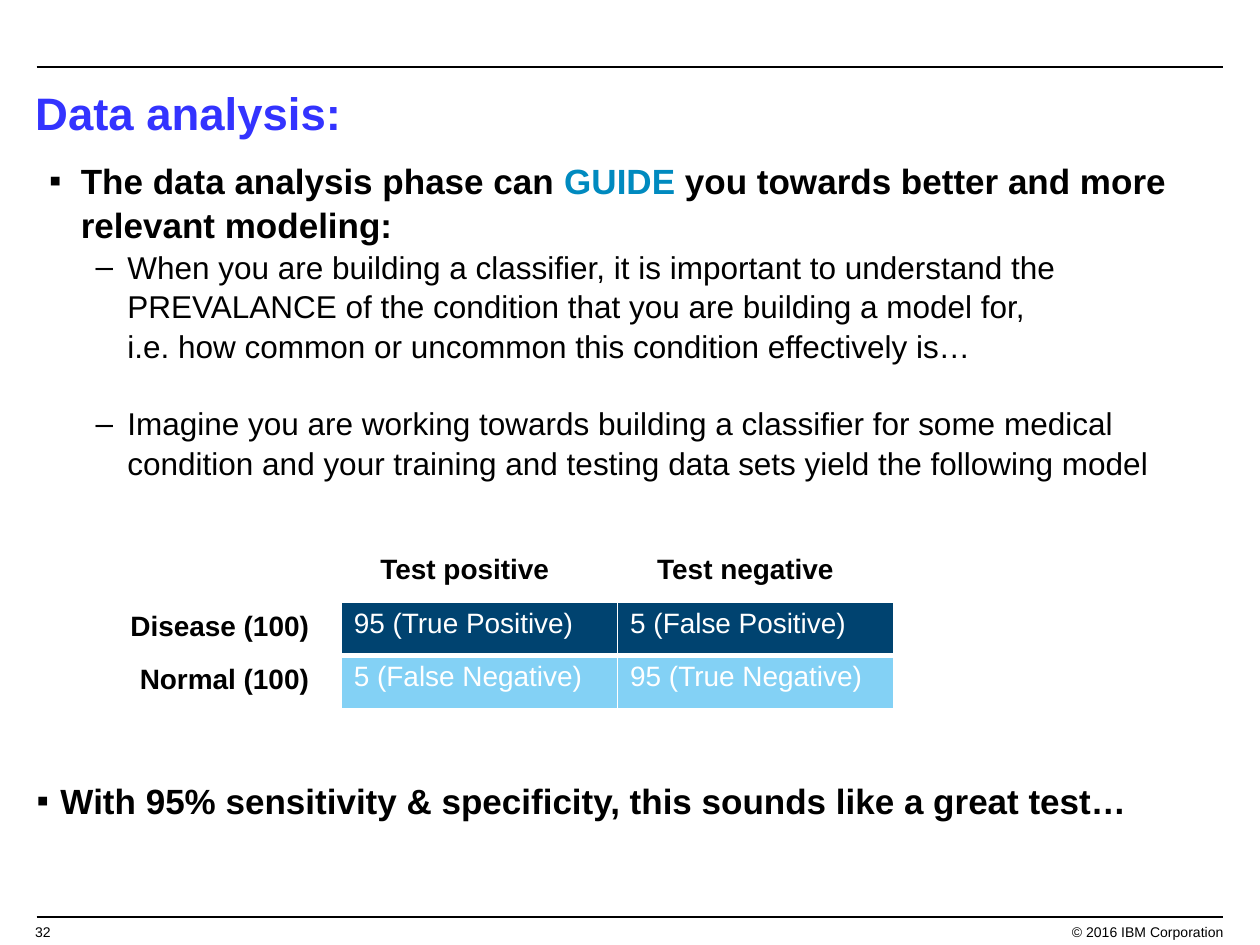
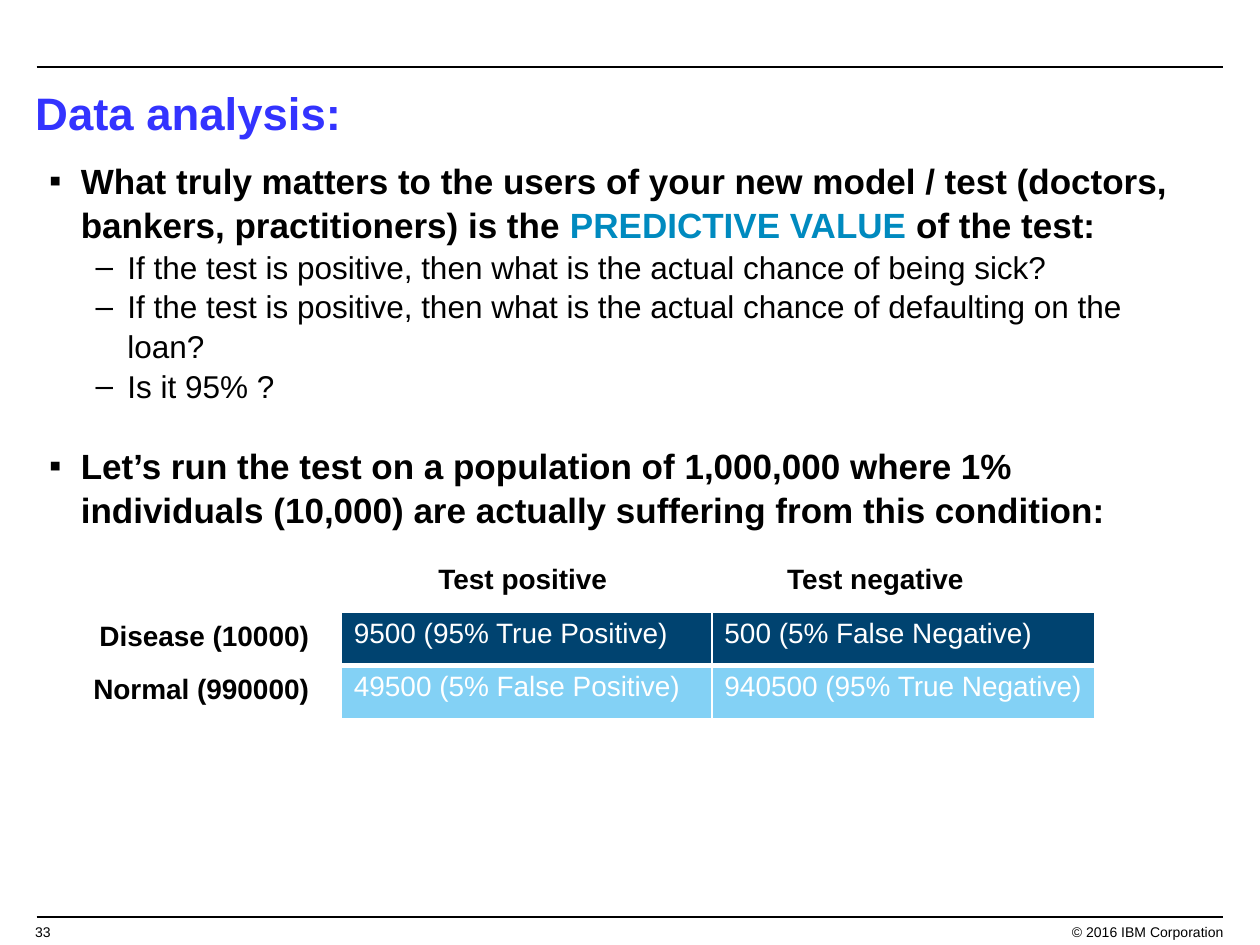
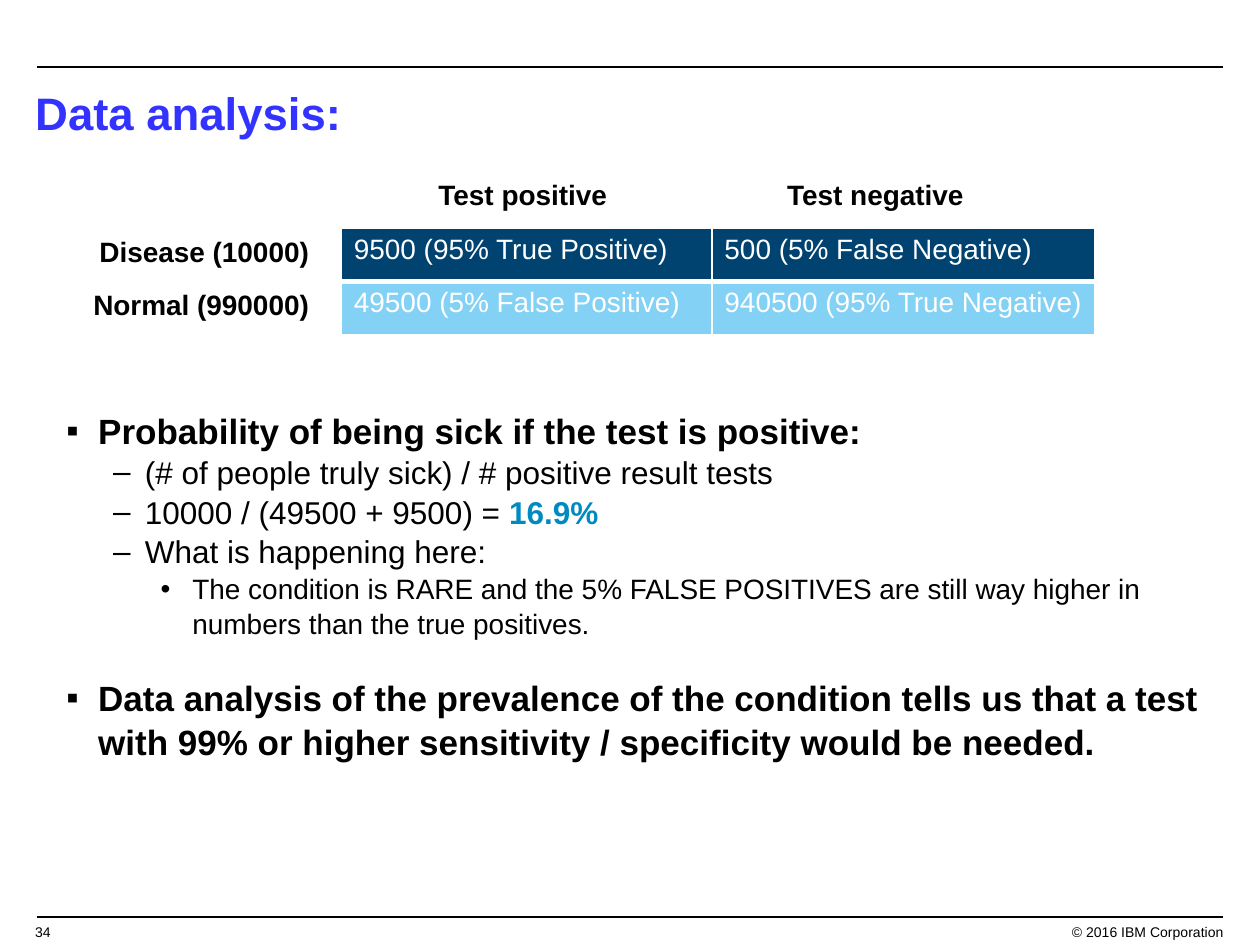
"""Build three slides on prevalence and the predictive value of a test."""
from lxml import etree
from pptx import Presentation
from pptx.dml.color import RGBColor
from pptx.enum.shapes import MSO_CONNECTOR
from pptx.enum.text import MSO_ANCHOR, PP_ALIGN
from pptx.oxml.ns import qn
from pptx.util import Cm, Pt

LEFT, RIGHT = PP_ALIGN.LEFT, PP_ALIGN.RIGHT
TOP, MIDDLE = MSO_ANCHOR.TOP, MSO_ANCHOR.MIDDLE
STRAIGHT = MSO_CONNECTOR.STRAIGHT

FONT = "Arial"
COLOURS = {
    "text": "000000",
    "title": "3333FF",
    "accent": "008ABF",
    "white": "FFFFFF",
    "dark_row": "004370",
    "light_row": "83D1F5",
}
BULLETS = {
    "point": dict(level=0, mark="▪", indent=0.64, hanging=0.64, size=20, bold=True),
    "detail": dict(level=1, mark="–", indent=1.58, hanging=0.64, size=18, bold=False),
    "remark": dict(level=2, mark="•", indent=2.54, hanging=0.64, size=16, bold=False),
    "closing": dict(level=0, mark="▪", indent=0.48, hanging=0.48, size=20, bold=True),
}
LINE_LEFT, LINE_RIGHT = 0.74, 24.66
HEADER_Y, FOOTER_Y = 1.35, 18.49
BODY_WIDTH = 23.72
TABLE_LEFT, ROW_HEIGHT = 6.88, 1.07
LABEL_RIGHT, LABEL_WIDTH = 6.48, 5
HEADING_WIDTH, HEADING_RISE = 4.2, 1.14


def write_span(para, text, size=16, bold=False, colour="text"):
    """Add text to a paragraph, turning newlines into line breaks."""
    for number, line in enumerate(text.split("\n")):
        if number:
            para.add_line_break()
        span = para.add_run()
        span.text = line
        span.font.name = FONT
        span.font.size = Pt(size)
        span.font.bold = bold
        span.font.color.rgb = RGBColor.from_string(COLOURS[colour])


def add_bullet(para, mark, indent, hanging):
    """Give a paragraph a bullet character with a hanging indent."""
    properties = para._p.get_or_add_pPr()
    properties.set("marL", str(Cm(indent)))
    properties.set("indent", str(-Cm(hanging)))
    colour = etree.SubElement(properties, qn("a:buClr"))
    etree.SubElement(colour, qn("a:srgbClr"), val=COLOURS["text"])
    etree.SubElement(properties, qn("a:buFont"), typeface=FONT)
    etree.SubElement(properties, qn("a:buChar"), char=mark)


def add_borders(cell, **widths):
    """Draw white cell borders with the given widths in points."""
    properties = cell._tc.get_or_add_tcPr()
    for position, (side, width) in enumerate(widths.items()):
        line = etree.Element(qn("a:ln" + side), w=str(Pt(width)))
        fill = etree.SubElement(line, qn("a:solidFill"))
        etree.SubElement(fill, qn("a:srgbClr"), val=COLOURS["white"])
        properties.insert(position, line)


class SlideBuilder:
    """Hold the deck, its style and the current page."""

    def __init__(self):
        """Start an empty deck of the right size."""
        self.deck = Presentation()
        self.deck.slide_width, self.deck.slide_height = Cm(25.4), Cm(19.05)
        self.page = None

    def new_page(self, number, title):
        """Add a page with its rules, title and footer."""
        self.page = self.deck.slides.add_slide(self.deck.slide_layouts[6])
        self.rule(HEADER_Y)
        self.rule(FOOTER_Y)
        self.text(0.46, FOOTER_Y, 1.09, 0.38, str(number), size=8)
        self.text(20.98, FOOTER_Y, 3.94, 0.58, "© 2016 IBM Corporation", align=RIGHT, size=8)
        heading = self.text(0.46, 1.5, 24.46, 1.65, title, anchor=MIDDLE,
                            size=26, bold=True, colour="title")
        heading.text_frame.paragraphs[0].line_spacing = 0.9

    def rule(self, y):
        """Draw a thin line across the page."""
        line = self.page.shapes.add_connector(
            STRAIGHT, Cm(LINE_LEFT), Cm(y), Cm(LINE_RIGHT), Cm(y))
        line.line.color.rgb = RGBColor.from_string(COLOURS["text"])
        line.line.width = Pt(1)
        etree.SubElement(line._element.spPr, qn("a:effectLst"))

    def box(self, left, top, width, height, anchor=TOP):
        """Add an empty wrapping text box."""
        box = self.page.shapes.add_textbox(Cm(left), Cm(top), Cm(width), Cm(height))
        box.text_frame.word_wrap = True
        box.text_frame.vertical_anchor = anchor
        return box

    def text(self, left, top, width, height, text, align=LEFT, anchor=TOP, **style):
        """Add a text box with one paragraph."""
        box = self.box(left, top, width, height, anchor)
        para = box.text_frame.paragraphs[0]
        para.alignment = align
        write_span(para, text, **style)
        return box

    def bullets(self, left, top, height, items):
        """Add a list of (kind, text, space before); asterisks enclose accented words."""
        box = self.box(left, top, BODY_WIDTH, height)
        frame = box.text_frame
        for number, (kind, text, gap) in enumerate(items):
            para = frame.add_paragraph() if number else frame.paragraphs[0]
            style = BULLETS[kind]
            para.level = style["level"]
            add_bullet(para, style["mark"], style["indent"], style["hanging"])
            para.line_spacing = 1.05
            para.space_before = Pt(gap)
            for part, words in enumerate(text.split("*")):
                accented = part % 2 == 1
                if words:
                    write_span(para, words, size=style["size"], bold=accented or style["bold"],
                               colour="accent" if accented else "text")
        return box

    def outcomes(self, top, widths, heading_lefts, row_labels, rows):
        """Add the table of test outcomes with its row and column labels."""
        frame = self.page.shapes.add_table(
            len(rows), len(widths), Cm(TABLE_LEFT), Cm(top),
            Cm(sum(widths)), Cm(ROW_HEIGHT * len(rows)))
        table = frame.table
        table.first_row = table.horz_banding = False
        for column, width in zip(table.columns, widths):
            column.width = Cm(width)
        for index, (label, values) in enumerate(zip(row_labels, rows)):
            table.rows[index].height = Cm(ROW_HEIGHT)
            self.text(LABEL_RIGHT - LABEL_WIDTH, top + index * ROW_HEIGHT, LABEL_WIDTH, 0.94,
                      label, align=RIGHT, bold=True)
            for column, value in enumerate(values):
                cell = table.cell(index, column)
                cell.fill.solid()
                cell.fill.fore_color.rgb = RGBColor.from_string(
                    COLOURS["light_row" if index else "dark_row"])
                write_span(cell.text_frame.paragraphs[0], value, colour="white")
                add_borders(cell, L=1, R=1, T=3 if index else 1, B=1 if index else 3)
        for left, heading in zip(heading_lefts, ("Test positive", "Test negative")):
            self.text(left, top - HEADING_RISE, HEADING_WIDTH, 0.94, heading, bold=True)

    def population_outcomes(self, top):
        """Add the outcomes for the population of one million."""
        self.outcomes(
            top, (7.47, 7.72), (8.59, 15.62), ("Disease (10000)", "Normal (990000)"),
            (("9500 (95% True Positive)", "500 (5% False Negative)"),
             ("49500 (5% False Positive)", "940500 (95% True Negative)")))


def main():
    """Build the pages and save the deck."""
    builder = SlideBuilder()
    title = "Data analysis:"

    builder.new_page(32, title)
    builder.bullets(LINE_LEFT, 3.05, 7.44, [
        ("point", "The data analysis phase can *GUIDE* you towards better and more "
                  "relevant modeling:", 0),
        ("detail", "When you are building a classifier, it is important to understand the "
                   "PREVALANCE of the condition that you are building a model for, \n"
                   "i.e. how common or uncommon this condition effectively is…", 0),
        ("detail", "Imagine you are working towards building a classifier for some medical "
                   "condition and your training and testing data sets yield the following model",
         21.6),
    ])
    builder.outcomes(
        12.14, (5.57, 5.57), (7.42, 13), ("Disease (100)", "Normal (100)"),
        (("95 (True Positive)", "5 (False Positive)"),
         ("5 (False Negative)", "95 (True Negative)")))
    closing = builder.bullets(LINE_LEFT, 15.54, 1.52, [
        ("closing", "With 95% sensitivity & specificity, this sounds like a great test…", 0),
    ])
    closing.text_frame.margin_left = 0

    builder.new_page(33, title)
    builder.bullets(LINE_LEFT, 3.05, 7.44, [
        ("point", "What truly matters to the users of your new model / test (doctors, bankers, "
                  "practitioners) is the *PREDICTIVE VALUE *of the test:", 0),
        ("detail", "If the test is positive, then what is the actual chance of being sick?", 0),
        ("detail", "If the test is positive, then what is the actual chance of defaulting on "
                   "the loan?", 0),
        ("detail", "Is it 95% ?", 0),
        ("point", "Let’s run the test on a population of 1,000,000 where 1% individuals "
                  "(10,000) are actually suffering from this condition:", 21.6),
    ])
    builder.population_outcomes(12.34)

    builder.new_page(34, title)
    builder.bullets(1.09, 8.08, 8.48, [
        ("point", "Probability of being sick if the test is positive:", 0),
        ("detail", "(# of people truly sick) / # positive result tests", 0),
        ("detail", "10000 / (49500 + 9500) = *16.9%*", 0),
        ("detail", "What is happening here:", 0),
        ("remark", "The condition is RARE and the 5% FALSE POSITIVES are still way higher in "
                   "numbers than the true positives.", 0),
        ("point", "Data analysis of the prevalence of the condition tells us that a test with "
                  "99% or higher sensitivity / specificity would be needed.", 19.3),
    ])
    builder.population_outcomes(4.6)

    builder.deck.save("out.pptx")


if __name__ == "__main__":
    main()
